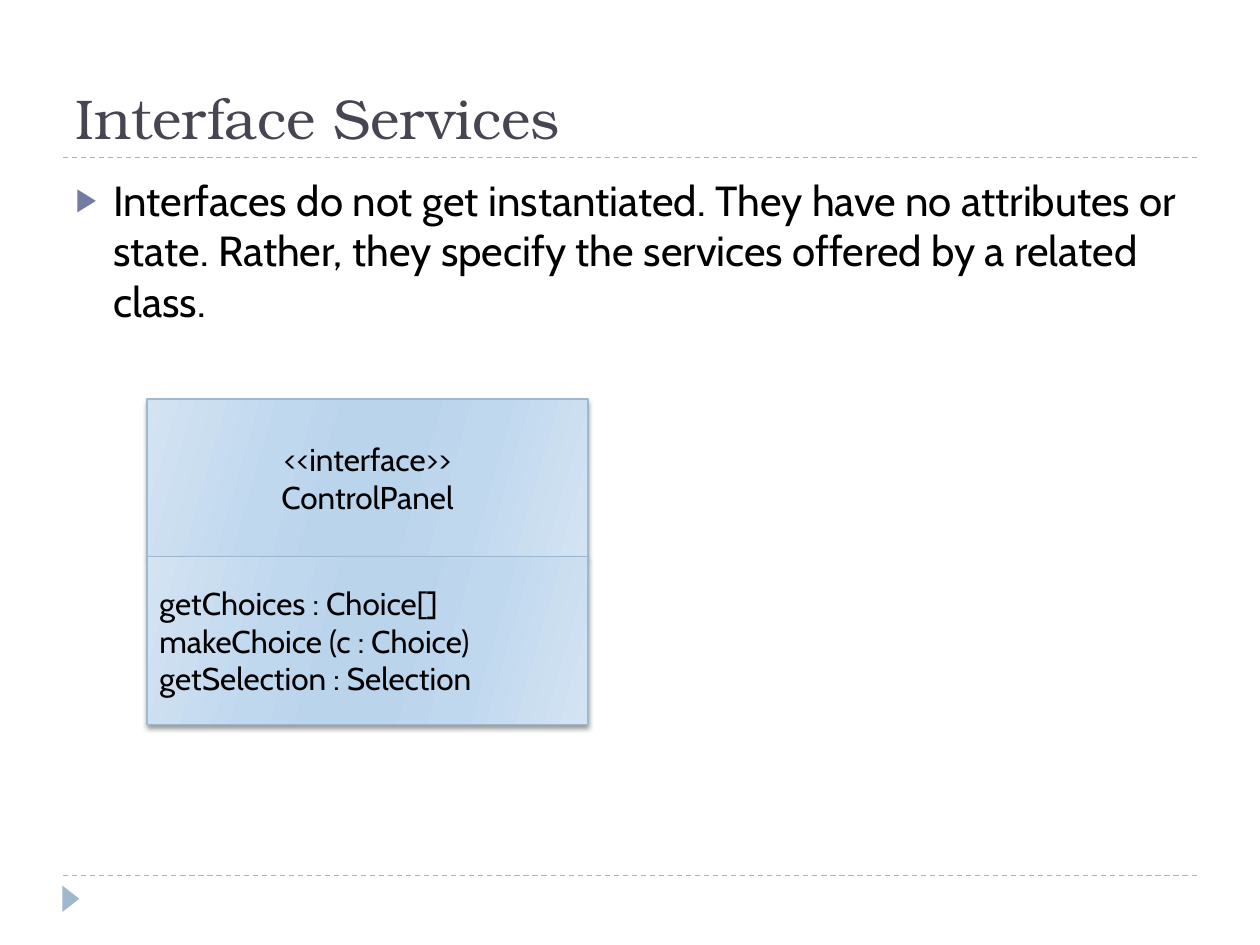
from dataclasses import dataclass

from lxml import etree
from pptx import Presentation
from pptx.dml.color import RGBColor
from pptx.enum.dml import MSO_LINE
from pptx.enum.shapes import MSO_CONNECTOR, MSO_SHAPE
from pptx.enum.text import MSO_ANCHOR, MSO_AUTO_SIZE, PP_ALIGN
from pptx.oxml.ns import qn
from pptx.util import Inches, Pt

DASH = MSO_LINE.DASH
STRAIGHT = MSO_CONNECTOR.STRAIGHT
RECTANGLE = MSO_SHAPE.RECTANGLE
TRIANGLE = MSO_SHAPE.ISOSCELES_TRIANGLE
TOP, MIDDLE, BOTTOM = MSO_ANCHOR.TOP, MSO_ANCHOR.MIDDLE, MSO_ANCHOR.BOTTOM
LEFT, CENTER = PP_ALIGN.LEFT, PP_ALIGN.CENTER
WIDTH, HEIGHT = Inches(10), Inches(7.5)
COLUMNS, ROWS = 120, 90


@dataclass(frozen=True)
class Theme:
    title_font: str = "TeX Gyre Bonum"
    body_font: str = "Cabin"
    title_size: int = 32
    body_size: int = 24
    class_size: int = 18
    title_color: str = "464653"
    ink: str = "000000"
    accent: str = "9FB8CD"
    bullet: str = "727CA3"
    line_width: float = 0.75
    gradient_angle: int = 16
    gradient: tuple = ((0, "D3E3F2"), (30, "C0D8EE"), (45, "BAD4EC"),
                       (55, "BAD4EC"), (73, "C0D8EE"), (100, "D3E3F2"))


@dataclass(frozen=True)
class Area:
    column: float
    row: float
    columns: float
    rows: float

    def box(self) -> tuple:
        return (across(self.column), down(self.row),
                across(self.columns), down(self.rows))


@dataclass(frozen=True)
class Compartment:
    row: int
    rows: int
    align: PP_ALIGN
    lines: tuple


THEME = Theme()
RULE_ROWS = (83.4, 15)
COMPARTMENTS = (
    Compartment(38, 15, CENTER, ("<<interface>>", "ControlPanel")),
    Compartment(53, 16, LEFT, ("getChoices : Choice[]",
                               "makeChoice (c : Choice)",
                               "getSelection : Selection")),
)


def across(columns: float) -> int:
    return round(WIDTH * columns / COLUMNS)


def down(rows: float) -> int:
    return round(HEIGHT * rows / ROWS)


def add_xml(parent, tag: str, **attributes):
    return etree.SubElement(parent, qn(tag), attributes)


def add_bullet(paragraph) -> None:
    properties = paragraph._p.get_or_add_pPr()
    properties.set("marL", str(Inches(0.3)))
    properties.set("indent", str(-Inches(0.3)))
    color = add_xml(properties, "a:buClr")
    add_xml(color, "a:srgbClr", val=THEME.bullet)
    add_xml(properties, "a:buSzPct", val="76000")
    add_xml(properties, "a:buFont", typeface="Arial")
    add_xml(properties, "a:buChar", char="▶")


def write(shape, lines: tuple, *, font: str, size: float, color: str,
          align=LEFT, anchor=TOP, wrap=True, bullet=False) -> None:
    frame = shape.text_frame
    frame.text = "\n".join(lines)
    frame.auto_size = MSO_AUTO_SIZE.NONE
    frame.word_wrap = wrap
    frame.vertical_anchor = anchor
    for paragraph in frame.paragraphs:
        paragraph.alignment = align
        paragraph.space_before = Pt(0)
        if bullet:
            add_bullet(paragraph)
        for run in paragraph.runs:
            run.font.name = font
            run.font.size = Pt(size)
            run.font.color.rgb = RGBColor.from_string(color)


def place(shape, area: Area) -> None:
    shape.left, shape.top, shape.width, shape.height = area.box()


def style_line(line) -> None:
    line.color.rgb = RGBColor.from_string(THEME.accent)
    line.width = Pt(THEME.line_width)


def draw_rule(shapes, row: float) -> None:
    rule = shapes.add_connector(STRAIGHT, across(6), down(row), across(114), down(row))
    style_line(rule.line)
    rule.line.dash_style = DASH
    add_xml(rule._element.spPr, "a:effectLst")


def draw_marker(shapes, area: Area) -> None:
    marker = shapes.add_shape(TRIANGLE, *area.box())
    marker.rotation = 90
    marker.shadow.inherit = False
    marker.fill.solid()
    marker.fill.fore_color.rgb = RGBColor.from_string(THEME.accent)
    marker.line.fill.background()


def fill_gradient(shape) -> None:
    shape.fill.gradient()
    shape.fill.gradient_angle = 360 - THEME.gradient_angle
    stops = shape._element.spPr.find(qn("a:gradFill")).find(qn("a:gsLst"))
    for stop in list(stops):
        stops.remove(stop)
    for position, color in THEME.gradient:
        stop = add_xml(stops, "a:gs", pos=str(position * 1000))
        add_xml(stop, "a:srgbClr", val=color)


def cast_shadow(shape) -> None:
    shape.shadow.inherit = False
    effects = shape._element.spPr.find(qn("a:effectLst"))
    shadow = add_xml(effects, "a:outerShdw", blurRad=str(Pt(3)), dist=str(Pt(2)),
                     dir="5400000", rotWithShape="0")
    color = add_xml(shadow, "a:srgbClr", val=THEME.ink)
    add_xml(color, "a:alpha", val="40000")


def draw_compartment(shapes, part: Compartment) -> None:
    area = Area(14, part.row, 42, part.rows)
    compartment = shapes.add_shape(RECTANGLE, *area.box())
    fill_gradient(compartment)
    style_line(compartment.line)
    cast_shadow(compartment)
    write(compartment, part.lines, font=THEME.body_font, size=THEME.class_size,
          color=THEME.ink, align=part.align, anchor=MIDDLE, wrap=False)


def main() -> None:
    deck = Presentation()
    deck.slide_width, deck.slide_height = WIDTH, HEIGHT
    slide = deck.slides.add_slide(deck.slide_layouts[1])
    title, body = slide.shapes.title, slide.placeholders[1]

    for row in RULE_ROWS:
        draw_rule(slide.shapes, row)
    draw_marker(slide.shapes, Area(5.5, 84.8, 2.5, 1.6))

    place(title, Area(6, 2, 108, 13))
    write(title, ("Interface Services",), font=THEME.title_font,
          size=THEME.title_size, color=THEME.title_color, anchor=BOTTOM)
    place(body, Area(6, 16, 108, 64.8))
    write(body, ("Interfaces do not get instantiated. They have no attributes or state. "
                 "Rather, they specify the services offered by a related class.",),
          font=THEME.body_font, size=THEME.body_size, color=THEME.ink, bullet=True)

    control_panel = slide.shapes.add_group_shape()
    for part in COMPARTMENTS:
        draw_compartment(control_panel.shapes, part)

    deck.save("out.pptx")


if __name__ == "__main__":
    main()
